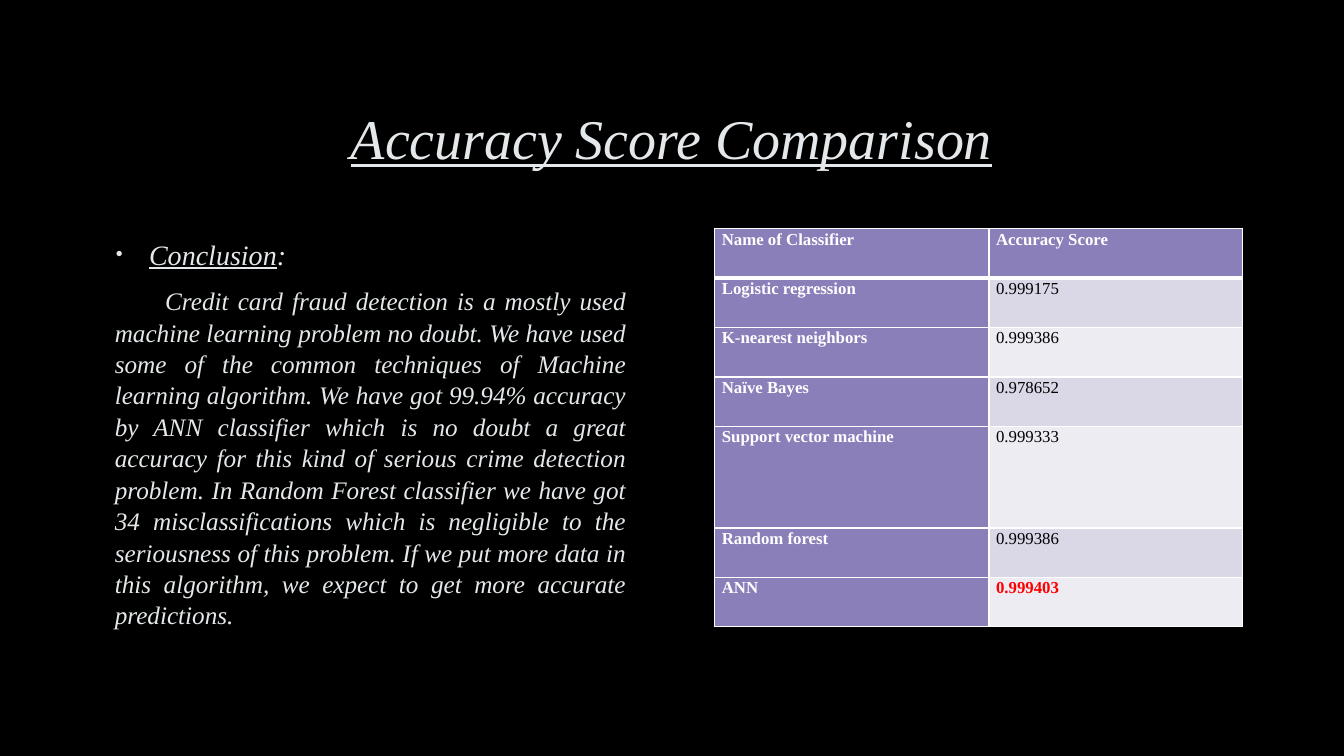
from lxml import etree
from pptx import Presentation
from pptx.dml.color import RGBColor
from pptx.enum import text as t
from pptx.oxml import ns
from pptx.util import Inches, Pt

TITLE = "Accuracy Score Comparison"
HEAD = "Conclusion"
BODY = (
    "Credit card fraud detection is a mostly used machine learning problem no doubt. "
    "We have used some of the common techniques of Machine learning algorithm. "
    "We have got 99.94% accuracy by ANN classifier which is no doubt a great accuracy "
    "for this kind of serious crime detection problem. In Random Forest classifier "
    "we have got 34 misclassifications which is negligible to the seriousness of this "
    "problem. If we put more data in this algorithm, we expect to get more accurate "
    "predictions."
)
SCORES = [
    ("Name of Classifier", "Accuracy Score"),
    ("Logistic regression", "0.999175"),
    ("K-nearest neighbors", "0.999386"),
    ("Naïve Bayes", "0.978652"),
    ("Support vector machine", "0.999333"),
    ("Random forest", "0.999386"),
    ("ANN", "0.999403"),
]
COLS = (2.72, 2.51)
ROW, TALL, TALL_ROW = 0.49, 1.01, 4

FONT = "Times New Roman"
BLACK = RGBColor(0, 0, 0)
WHITE = RGBColor(255, 255, 255)
PALE = RGBColor(0xE4, 0xE8, 0xEA)
RED = RGBColor(255, 0, 0)
PURPLE = RGBColor(0x8B, 0x7F, 0xBA)
BANDS = (RGBColor(0xEE, 0xEC, 0xF3), RGBColor(0xDA, 0xD8, 0xE7))


def write(para, words, size, color=PALE, bold=False, italic=False, line=False):
    run = para.add_run()
    run.text = words
    font = run.font
    font.name, font.size = FONT, Pt(size)
    font.bold, font.italic, font.underline = bold, italic, line
    font.color.rgb = color


def add(parent, tag, **attrs):
    node = etree.SubElement(parent, ns.qn(tag))
    for key, value in attrs.items():
        node.set(key, str(value))
    return node


def add_box(slide, *place):
    frame = slide.shapes.add_textbox(*map(Inches, place)).text_frame
    frame.word_wrap = True
    return frame


def indent(para, left, first):
    """Set the left margin and first-line indent in inches."""
    props = para._p.get_or_add_pPr()
    props.set("marL", str(Inches(left)))
    props.set("indent", str(Inches(first)))
    return props


def edge(cell, bottom):
    """Draw white borders; bottom is the lower line width in points."""
    props = cell._tc.get_or_add_tcPr()
    for side, width in (("L", 1), ("R", 1), ("T", 1), ("B", bottom)):
        line = add(props, "a:ln" + side, w=Pt(width))
        add(add(line, "a:solidFill"), "a:srgbClr", val=WHITE)


def add_title(slide):
    frame = add_box(slide, 1, 0.67, 11.32, 1.38)
    frame.vertical_anchor = t.MSO_ANCHOR.MIDDLE
    para = frame.paragraphs[0]
    para.alignment = t.PP_ALIGN.CENTER
    write(para, TITLE, 40, italic=True, line=True)


def add_body(slide):
    frame = add_box(slide, 1, 2.27, 5.31, 3.96)
    frame.margin_top = Inches(0.07)
    head = frame.paragraphs[0]
    head.line_spacing, head.space_after = 1.04, Pt(6)
    props = indent(head, 0.38, -0.33)
    add(add(props, "a:buClr"), "a:srgbClr", val=PALE)
    add(props, "a:buSzPct", val=70000)
    add(props, "a:buFont", typeface="Arial")
    add(props, "a:buChar", char="•")
    write(head, HEAD, 20, italic=True, line=True)
    write(head, ":", 20, italic=True)

    para = frame.add_paragraph()
    para.alignment = t.PP_ALIGN.JUSTIFY
    para.line_spacing, para.space_before = 1.04, Pt(3.6)
    indent(para, 0.04, 0.5)
    write(para, BODY, 18, italic=True)


def add_scores(slide):
    heights = [TALL if r == TALL_ROW else ROW for r in range(len(SCORES))]
    size = (sum(COLS), sum(heights))
    table = slide.shapes.add_table(
        len(SCORES), len(COLS), *map(Inches, (7.09, 2.27, *size))).table
    for col, width in zip(table.columns, COLS):
        col.width = Inches(width)
    for r, (row, height) in enumerate(zip(SCORES, heights)):
        table.rows[r].height = Inches(height)
        for c, words in enumerate(row):
            cell = table.cell(r, c)
            cell.margin_left = cell.margin_right = Inches(0.07)
            cell.margin_top = cell.margin_bottom = 0
            label = r == 0 or c == 0
            best = not label and r == len(SCORES) - 1
            edge(cell, 3 if r == 0 else 1)
            cell.fill.solid()
            cell.fill.fore_color.rgb = PURPLE if label else BANDS[r % 2]
            para = cell.text_frame.paragraphs[0]
            para.alignment = t.PP_ALIGN.JUSTIFY
            para.line_spacing, para.space_after = 1.07, Pt(8)
            color = WHITE if label else RED if best else BLACK
            write(para, words, 12, color, bold=label or best)


def main():
    deck = Presentation()
    deck.slide_width, deck.slide_height = Inches(13.33), Inches(7.5)
    slide = deck.slides.add_slide(deck.slide_layouts[6])
    fill = slide.background.fill
    fill.solid()
    fill.fore_color.rgb = BLACK
    add_title(slide)
    add_body(slide)
    add_scores(slide)
    deck.save("out.pptx")


if __name__ == "__main__":
    main()
